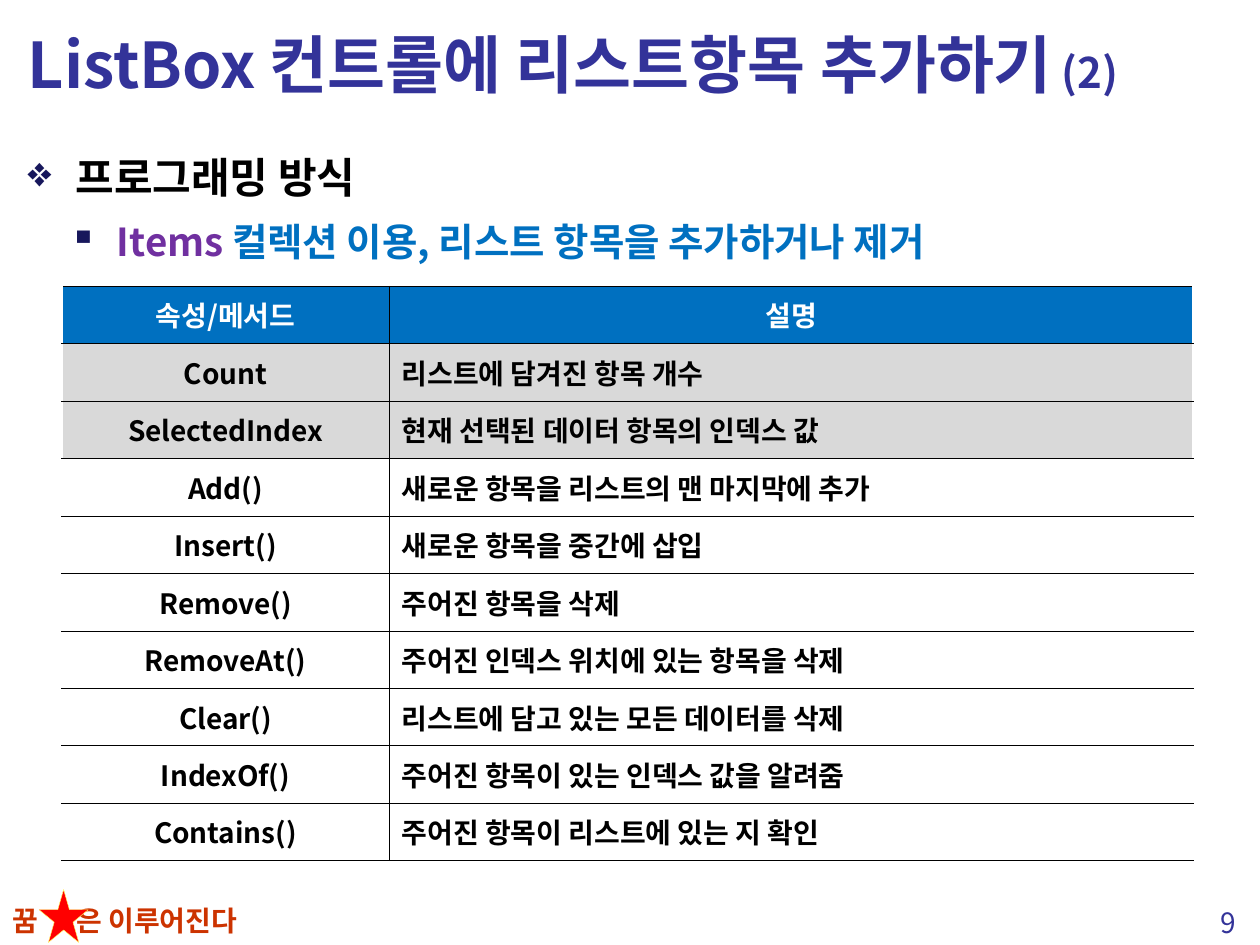
from dataclasses import dataclass

from lxml import etree
from pptx import Presentation
from pptx.dml.color import RGBColor
from pptx.enum import shapes, text
from pptx.oxml.ns import qn
from pptx.util import Inches, Pt


@dataclass(frozen=True)
class Theme:
    font: str = "Noto Sans CJK KR"
    navy: str = "333399"
    bullet: str = "17175C"
    purple: str = "7030A0"
    blue: str = "0070C0"
    gray: str = "D9D9D9"
    black: str = "000000"
    white: str = "FFFFFF"
    orange: str = "CC3300"
    red: str = "FF0000"
    yellow: str = "FFFF66"
    title: int = 36
    head: int = 24
    sub: int = 22
    small: int = 16


T = Theme()
ALIGN = text.PP_ALIGN


def add_text(p, content, size=T.small, color=T.black, bold=True, align=None):
    """Append a formatted run to paragraph p."""
    if align is not None:
        p.alignment = align
    r = p.add_run()
    r.text = content
    r.font.size, r.font.bold, r.font.name = Pt(size), bold, T.font
    r.font.color.rgb = RGBColor.from_string(color)
    ea = etree.SubElement(r._r.get_or_add_rPr(), qn("a:ea"))
    ea.set("typeface", T.font)


def add_box(left, top, width, height, wrap=True):
    """Add a text box and return its text frame."""
    tf = s.shapes.add_textbox(Inches(left), Inches(top), Inches(width), Inches(height)).text_frame
    tf.word_wrap = wrap
    return tf


prs = Presentation()
prs.slide_width, prs.slide_height = Inches(10), Inches(7.5)
s = prs.slides.add_slide(prs.slide_layouts[5])

# Footer motto: a tab leaves room for the star
p = add_box(0, 7.12, 2.48, 0.37).paragraphs[0]
tabs = etree.SubElement(p._p.get_or_add_pPr(), qn("a:tabLst"))
etree.SubElement(tabs, qn("a:tab"), pos=str(Inches(0.51)), algn="l")
add_text(p, "꿈\t은 이루어진다", color=T.orange)

sp = s.shapes.add_shape(shapes.MSO_SHAPE.STAR_5_POINT,
                        Inches(0.31), Inches(7.06), Inches(0.39), Inches(0.42))
sp.shadow.inherit = False
sp.fill.solid()
sp.fill.fore_color.rgb = RGBColor.from_string(T.red)
sp.line.color.rgb = RGBColor.from_string(T.yellow)
sp.line.width = Pt(0.25)

# Page number
tf = add_box(9.49, 7.14, 0.51, 0.37, wrap=False)
add_text(tf.paragraphs[0], "9", color=T.navy, bold=False, align=ALIGN.CENTER)

# Title
title = s.shapes.title
title.left, title.top, title.width, title.height = map(Inches, (0.12, 0.06, 9.76, 0.88))
tf = title.text_frame
tf.auto_size = text.MSO_AUTO_SIZE.NONE
tf.vertical_anchor = text.MSO_ANCHOR.MIDDLE
p = tf.paragraphs[0]
add_text(p, "ListBox 컨트롤에 리스트항목 추가하기", T.title, T.navy, align=ALIGN.LEFT)
add_text(p, " (2)", T.head, T.navy)

# Bulleted lines
bullets = [
    ("❖", 0.38, T.head, [("프로그래밍 방식", T.black)]),
    ("▪", 0.71, T.sub, [("Items ", T.purple),
                        ("컬렉션 이용, 리스트 항목을 추가하거나 제거", T.blue)]),
]
tf = add_box(0.12, 1.07, 9.79, 1.15)
for level, (mark, margin, size, runs) in enumerate(bullets):
    p = tf.add_paragraph() if level else tf.paragraphs[0]
    p.level = level
    p.line_spacing = 1.2
    p.space_before = Pt(size * 0.2)
    pPr = p._p.get_or_add_pPr()
    pPr.set("marL", str(Inches(margin)))
    pPr.set("indent", str(Inches(-0.38)))
    clr = etree.SubElement(pPr, qn("a:buClr"))
    etree.SubElement(clr, qn("a:srgbClr"), val=T.bullet)
    etree.SubElement(pPr, qn("a:buChar"), char=mark)
    for content, color in runs:
        add_text(p, content, size, color)

# Table of members: header, two properties, then methods
rows = [
    ("속성/메서드", "설명"),
    ("Count", "리스트에 담겨진 항목 개수"),
    ("SelectedIndex", "현재 선택된 데이터 항목의 인덱스 값"),
    ("Add()", "새로운 항목을 리스트의 맨 마지막에 추가"),
    ("Insert()", "새로운 항목을 중간에 삽입"),
    ("Remove()", "주어진 항목을 삭제"),
    ("RemoveAt()", "주어진 인덱스 위치에 있는 항목을 삭제"),
    ("Clear()", "리스트에 담고 있는 모든 데이터를 삭제"),
    ("IndexOf()", "주어진 항목이 있는 인덱스 값을 알려줌"),
    ("Contains()", "주어진 항목이 리스트에 있는 지 확인"),
]
fills = [T.blue, T.gray, T.gray]
inner, outer = (T.black, 0.25), (T.white, 1)
table = s.shapes.add_table(len(rows), 2, Inches(0.49), Inches(2.27),
                           Inches(8.98), Inches(4.56)).table
table.columns[0].width, table.columns[1].width = Inches(2.6), Inches(6.38)
for i, row in enumerate(rows):
    for j, content in enumerate(row):
        cell = table.cell(i, j)
        cell.vertical_anchor = text.MSO_ANCHOR.MIDDLE
        centred = i == 0 or j == 0
        add_text(cell.text_frame.paragraphs[0], content,
                 color=T.black if i else T.white,
                 align=ALIGN.CENTER if centred else ALIGN.LEFT)
        # Borders come before the fill in the cell properties
        tcPr = cell._tc.get_or_add_tcPr()
        borders = {"lnL": inner if j else outer, "lnR": outer if j else inner,
                   "lnT": inner, "lnB": inner}
        for side, (color, width) in borders.items():
            ln = etree.SubElement(tcPr, qn(f"a:{side}"), w=str(Pt(width)))
            solid = etree.SubElement(ln, qn("a:solidFill"))
            etree.SubElement(solid, qn("a:srgbClr"), val=color)
        if i < len(fills):
            cell.fill.solid()
            cell.fill.fore_color.rgb = RGBColor.from_string(fills[i])
        else:
            cell.fill.background()

prs.save("out.pptx")
